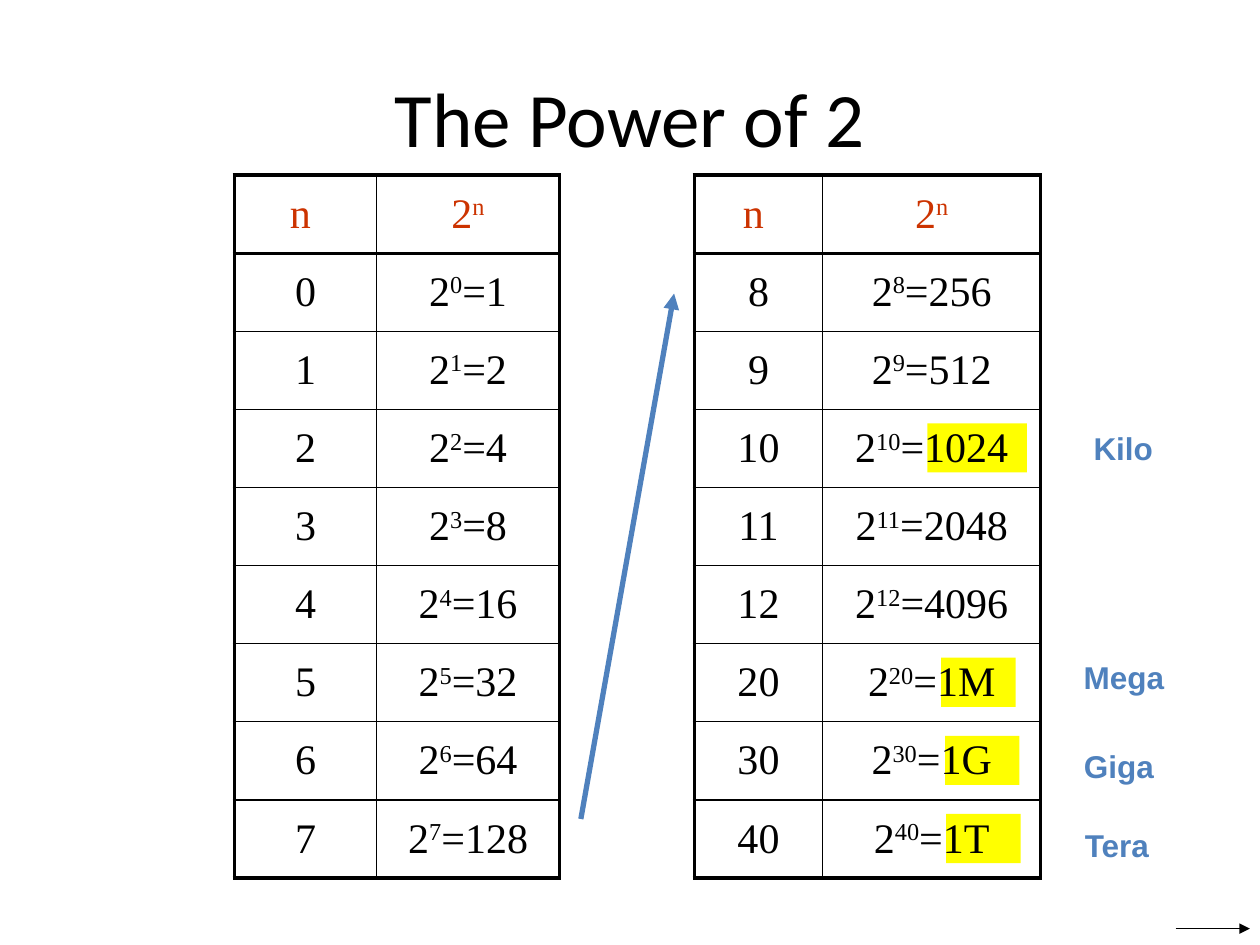
from lxml import etree
from pptx import Presentation, util as u
from pptx.dml.color import RGBColor
from pptx.enum import shapes, text
from pptx.oxml import ns

BLACK = RGBColor(0x00, 0x00, 0x00)
RED = RGBColor(0xCC, 0x33, 0x00)
BLUE = RGBColor(0x4F, 0x81, 0xBD)
YELLOW = RGBColor(0xFF, 0xFF, 0x00)
COLUMNS, ROWS = 100, 75
TABLE_TOP, ROW_HEIGHT = 13.9, 6.2
THICK, THIN = 2.25, 1


class Deck:
    def __init__(self):
        self.prs = Presentation()
        self.prs.slide_width, self.prs.slide_height = u.Inches(10), u.Inches(7.5)
        self.s = self.prs.slides.add_slide(self.prs.slide_layouts[5])

    def x(self, columns):
        return round(self.prs.slide_width * columns / COLUMNS)

    def y(self, rows):
        return round(self.prs.slide_height * rows / ROWS)

    def box(self, left, top, width, height):
        return self.x(left), self.y(top), self.x(width), self.y(height)

    def style(self, p, size, name, color, bold=False):
        p.alignment = text.PP_ALIGN.CENTER
        for r in p.runs:
            r.font.size, r.font.name, r.font.bold = u.Pt(size), name, bold
            r.font.color.rgb = color

    def title(self, words, *place):
        sp = self.s.shapes.title
        sp.left, sp.top, sp.width, sp.height = self.box(*place)
        tf = sp.text_frame
        tf.text = words
        tf.vertical_anchor = text.MSO_ANCHOR.MIDDLE
        self.style(tf.paragraphs[0], 44, "Calibri", BLACK)

    def highlight(self, *place):
        sp = self.s.shapes.add_shape(shapes.MSO_SHAPE.RECTANGLE, *self.box(*place))
        sp.shadow.inherit = False
        sp.fill.solid()
        sp.fill.fore_color.rgb = YELLOW
        sp.line.fill.background()

    def label(self, words, *place):
        tf = self.s.shapes.add_textbox(*self.box(*place)).text_frame
        tf.text = words
        tf.word_wrap = False
        tf.auto_size = text.MSO_AUTO_SIZE.SHAPE_TO_FIT_TEXT
        self.style(tf.paragraphs[0], 18, "Arial", BLUE, bold=True)

    def arrow(self, x1, y1, x2, y2, color, width):
        c = self.s.shapes.add_connector(
            shapes.MSO_CONNECTOR.STRAIGHT, self.x(x1), self.y(y1), self.x(x2), self.y(y2))
        c.line.color.rgb, c.line.width = color, u.Pt(width)
        etree.SubElement(c.line._get_or_add_ln(), ns.qn("a:tailEnd"), type="triangle")
        etree.SubElement(c._element.spPr, ns.qn("a:effectLst"))

    def borders(self, cell, **widths):
        tcPr = cell._tc.get_or_add_tcPr()
        for side, width in widths.items():
            ln = etree.SubElement(tcPr, ns.qn(f"a:ln{side}"), w=str(u.Pt(width)))
            fill = etree.SubElement(ln, ns.qn("a:solidFill"))
            etree.SubElement(fill, ns.qn("a:srgbClr"), val=str(BLACK))
        cell.fill.background()

    def cell(self, cell, parts, color):
        cell.vertical_anchor = text.MSO_ANCHOR.MIDDLE
        p = cell.text_frame.paragraphs[0]
        for i, part in enumerate(parts):
            r = p.add_run()
            r.text = part
            if i == 1:
                r.font._element.set("baseline", "30000")
        self.style(p, 24, "Times New Roman", color)

    def power_table(self, left, widths, powers):
        rows = [(["n "], ["2", "n"])]
        rows += [([n], ["2", n, f"={value}"]) for n, value in powers]
        place = self.box(left, TABLE_TOP, sum(widths), ROW_HEIGHT * len(rows))
        table = self.s.shapes.add_table(len(rows), len(widths), *place).table
        table.first_row = table.horz_banding = False
        for column, width in zip(table.columns, widths):
            column.width = self.x(width)
        for i, row in enumerate(rows):
            table.rows[i].height = self.y(ROW_HEIGHT)
            for j, parts in enumerate(row):
                cell = table.cell(i, j)
                self.cell(cell, parts, BLACK if i else RED)
                self.borders(
                    cell,
                    L=THIN if j else THICK,
                    R=THICK if j else THIN,
                    T=THICK if i < 2 else THIN,
                    B=THICK if i in (0, len(rows) - 1) else THIN)


def main():
    deck = Deck()
    for place in ((75.1, 64.6, 5.9, 3.9), (75, 58.4, 5.9, 3.9),
                  (74.7, 52.2, 5.9, 3.9), (73.6, 33.6, 7.9, 3.9)):
        deck.highlight(*place)
    deck.title("The Power of 2", 5, 3, 90, 12.5)
    deck.power_table(18.6, (11.3, 14.5), [(str(n), 2 ** n) for n in range(8)])
    deck.power_table(55.1, (10.2, 17.3), [(str(n), 2 ** n) for n in range(8, 13)]
                     + [("20", "1M"), ("30", "1G"), ("40", "1T")])
    deck.arrow(46.1, 65, 53.5, 23.3, BLUE, 3)
    for words, left, top, width in (("Mega", 85, 51.7, 8.4), ("Giga", 85, 58.8, 7.6),
                                    ("Tera", 85, 65.1, 7.3), ("Kilo", 85.8, 33.6, 6.7)):
        deck.label(words, left, top, width, 4)
    deck.arrow(93.3, 73.7, 99.2, 73.7, BLACK, 0.75)
    deck.prs.save("out.pptx")


if __name__ == "__main__":
    main()
